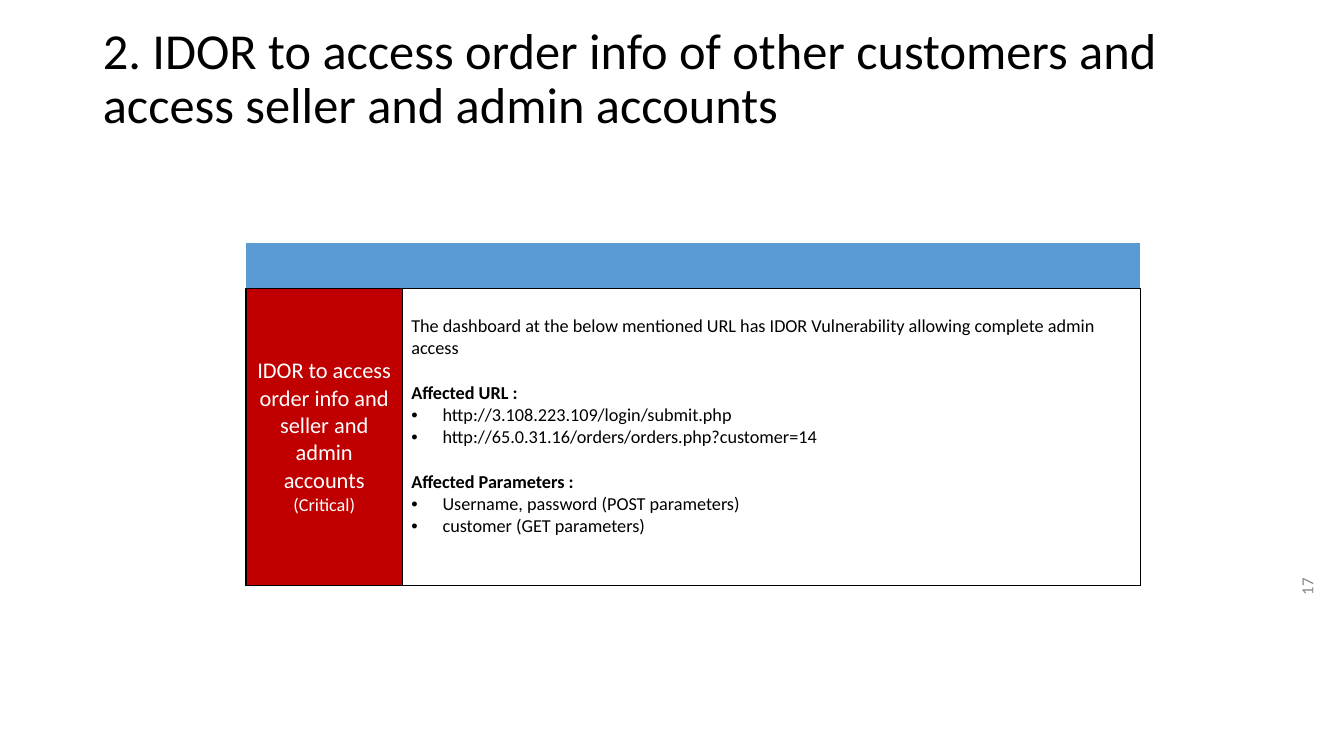
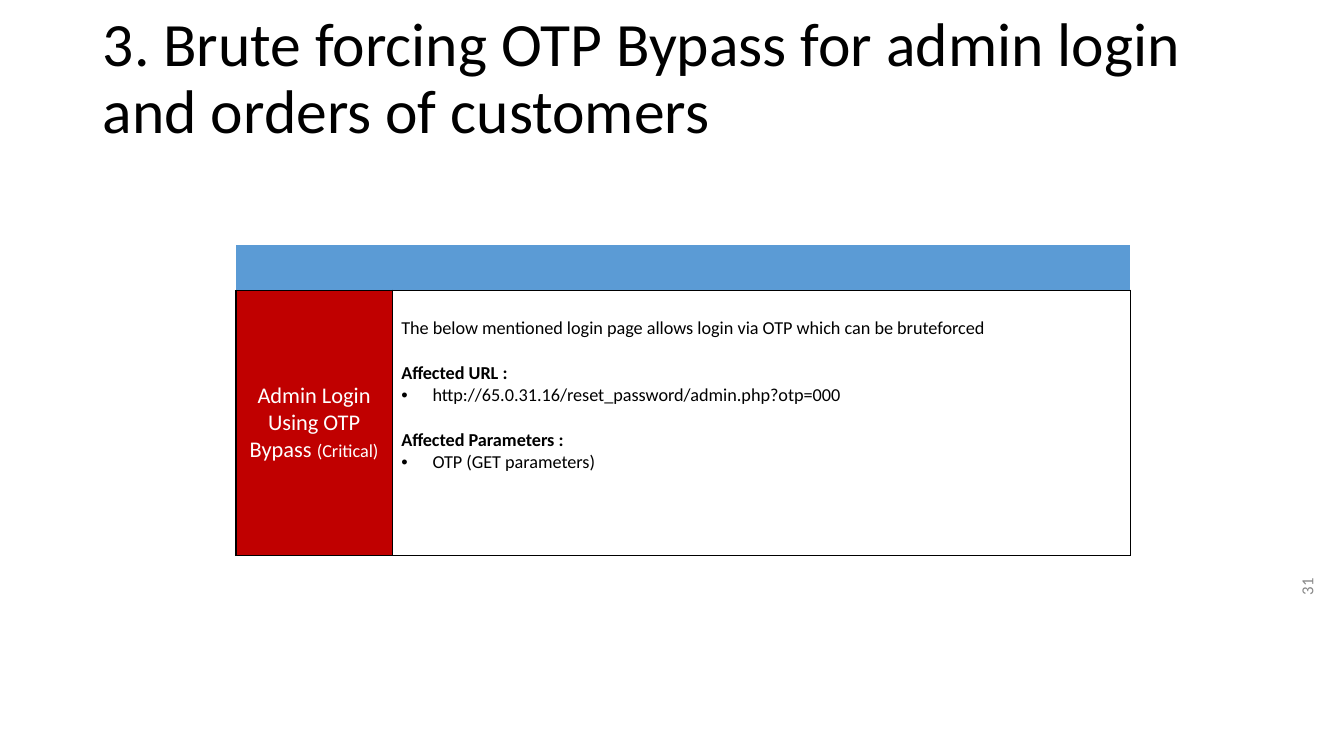
from pptx import Presentation
from pptx.dml.color import RGBColor
from pptx.enum.text import MSO_ANCHOR, MSO_AUTO_SIZE, PP_ALIGN
from pptx.oxml.ns import qn
from pptx.util import Inches, Pt
from lxml.etree import SubElement


def rgb(color):
    return RGBColor.from_string(color)


def set_attrs(obj, values):
    for name, value in values.items():
        setattr(obj, name, value)


class Deck:
    FONT = "Calibri"
    BLACK, WHITE, GREY = "000000", "FFFFFF", "888888"
    HEADER, CRITICAL = "5B9BD5", "C00000"
    LABEL_SIZE, BODY_SIZE = 16, 13
    COL_WIDTHS = (1.55, 7.32)
    HEADER_HEIGHT = 0.45
    MARGINS = {"margin_left": Inches(0.09), "margin_right": Inches(0.09),
               "margin_top": Inches(0.05), "margin_bottom": Inches(0.05)}

    def __init__(self):
        self.prs = Presentation()
        set_attrs(self.prs, {"slide_width": Inches(13.33),
                             "slide_height": Inches(7.5)})

    def add_slide(self):
        self.s = self.prs.slides.add_slide(self.prs.slide_layouts[5])

    def run(self, p, text, size, color=BLACK, bold=False):
        r = p.add_run()
        r.text = text
        set_attrs(r.font, {"name": self.FONT, "size": Pt(size), "bold": bold})
        r.font.color.rgb = rgb(color)

    def title(self, text, size):
        sp = self.s.shapes.title
        set_attrs(sp, {"left": Inches(0.92), "top": Inches(0.07),
                       "width": Inches(11.5), "height": Inches(1.45)})
        tf = sp.text_frame
        set_attrs(tf, {"word_wrap": True, "auto_size": MSO_AUTO_SIZE.NONE,
                       "vertical_anchor": MSO_ANCHOR.MIDDLE})
        p = tf.paragraphs[0]
        set_attrs(p, {"alignment": PP_ALIGN.LEFT, "line_spacing": 0.9})
        self.run(p, text, size)

    def page_number(self, number):
        sp = self.s.shapes.add_textbox(Inches(12.24), Inches(6.11),
                                       Inches(1.44), Inches(0.5))
        sp.rotation = 270
        tf = sp.text_frame
        set_attrs(tf, {"word_wrap": True,
                       "vertical_anchor": MSO_ANCHOR.MIDDLE})
        p = tf.paragraphs[0]
        p.alignment = PP_ALIGN.RIGHT
        self.run(p, str(number), 12, self.GREY)

    def bullet(self, p):
        pPr = p._p.get_or_add_pPr()
        pPr.set("marL", str(Inches(0.31)))
        pPr.set("indent", str(-Inches(0.31)))
        SubElement(pPr, qn("a:buFont")).set("typeface", "Arial")
        SubElement(pPr, qn("a:buChar")).set("char", "•")

    def style_cell(self, cell, fill, edges):
        cell.fill.solid()
        cell.fill.fore_color.rgb = rgb(fill)
        set_attrs(cell, self.MARGINS)
        # Borders come before the fill in the cell properties
        tcPr = cell._tc.get_or_add_tcPr()
        for i, edge in enumerate("LRTB"):
            ln = SubElement(tcPr, qn("a:ln" + edge))
            ln.set("w", str(Pt(1)))
            if edge in edges:
                line = SubElement(ln, qn("a:solidFill"))
                SubElement(line, qn("a:srgbClr")).set("val", self.BLACK)
            else:
                SubElement(ln, qn("a:noFill"))
            tcPr.insert(i, ln)

    def label(self, cell, lines):
        cell.vertical_anchor = MSO_ANCHOR.MIDDLE
        tf = cell.text_frame
        for i, runs in enumerate(lines):
            p = tf.add_paragraph() if i else tf.paragraphs[0]
            p.alignment = PP_ALIGN.CENTER
            for text, size in runs:
                self.run(p, text, size, self.WHITE)

    def details(self, cell, summary, sections):
        cell.margin_top = Inches(0.27)
        tf = cell.text_frame
        self.run(tf.paragraphs[0], summary, self.BODY_SIZE)
        for heading, items in sections:
            p = tf.add_paragraph()
            p.space_before = Pt(16)
            self.run(p, heading, self.BODY_SIZE, bold=True)
            for item in items:
                p = tf.add_paragraph()
                self.bullet(p)
                self.run(p, item, self.BODY_SIZE)

    def finding_table(self, left, top, body_height, label, summary, sections):
        heights = (self.HEADER_HEIGHT, body_height)
        table = self.s.shapes.add_table(
            2, 2, Inches(left), Inches(top),
            Inches(sum(self.COL_WIDTHS)), Inches(sum(heights))).table
        set_attrs(table, {"first_row": False, "horz_banding": False})
        for col, width in zip(table.columns, self.COL_WIDTHS):
            col.width = Inches(width)
        for row, height in zip(table.rows, heights):
            row.height = Inches(height)
        for col, fill in enumerate((self.CRITICAL, self.WHITE)):
            self.style_cell(table.cell(0, col), self.HEADER, "B")
            self.style_cell(table.cell(1, col), fill, "LRTB")
        self.label(table.cell(1, 0), label)
        self.details(table.cell(1, 1), summary, sections)


def main():
    deck = Deck()
    severity = ("(Critical)", deck.BODY_SIZE)

    # Finding 2: IDOR
    deck.add_slide()
    deck.page_number(17)
    deck.title("2. IDOR to access order info of other customers and "
               "access seller and admin accounts", 36)
    deck.finding_table(
        2.44, 2.41, 2.95,
        [[("IDOR to access order info and seller and admin accounts",
           deck.LABEL_SIZE)], [severity]],
        "The dashboard at the below mentioned URL has IDOR Vulnerability "
        "allowing complete admin access",
        [("Affected URL :",
          ["http://3.108.223.109/login/submit.php",
           "http://65.0.31.16/orders/orders.php?customer=14"]),
         ("Affected Parameters :",
          ["Username, password (POST parameters)",
           "customer (GET parameters)"])])

    # Finding 3: OTP bypass
    deck.add_slide()
    deck.page_number(31)
    deck.title("3. Brute forcing OTP Bypass for admin login and orders of "
               "customers", 44)
    deck.finding_table(
        2.34, 2.43, 2.63,
        [[("Admin Login Using OTP Bypass ", deck.LABEL_SIZE), severity]],
        "The below mentioned login page allows login via OTP which can be "
        "bruteforced",
        [("Affected URL :",
          ["http://65.0.31.16/reset_password/admin.php?otp=000"]),
         ("Affected Parameters :", ["OTP (GET parameters)"])])

    deck.prs.save("out.pptx")


if __name__ == "__main__":
    main()
